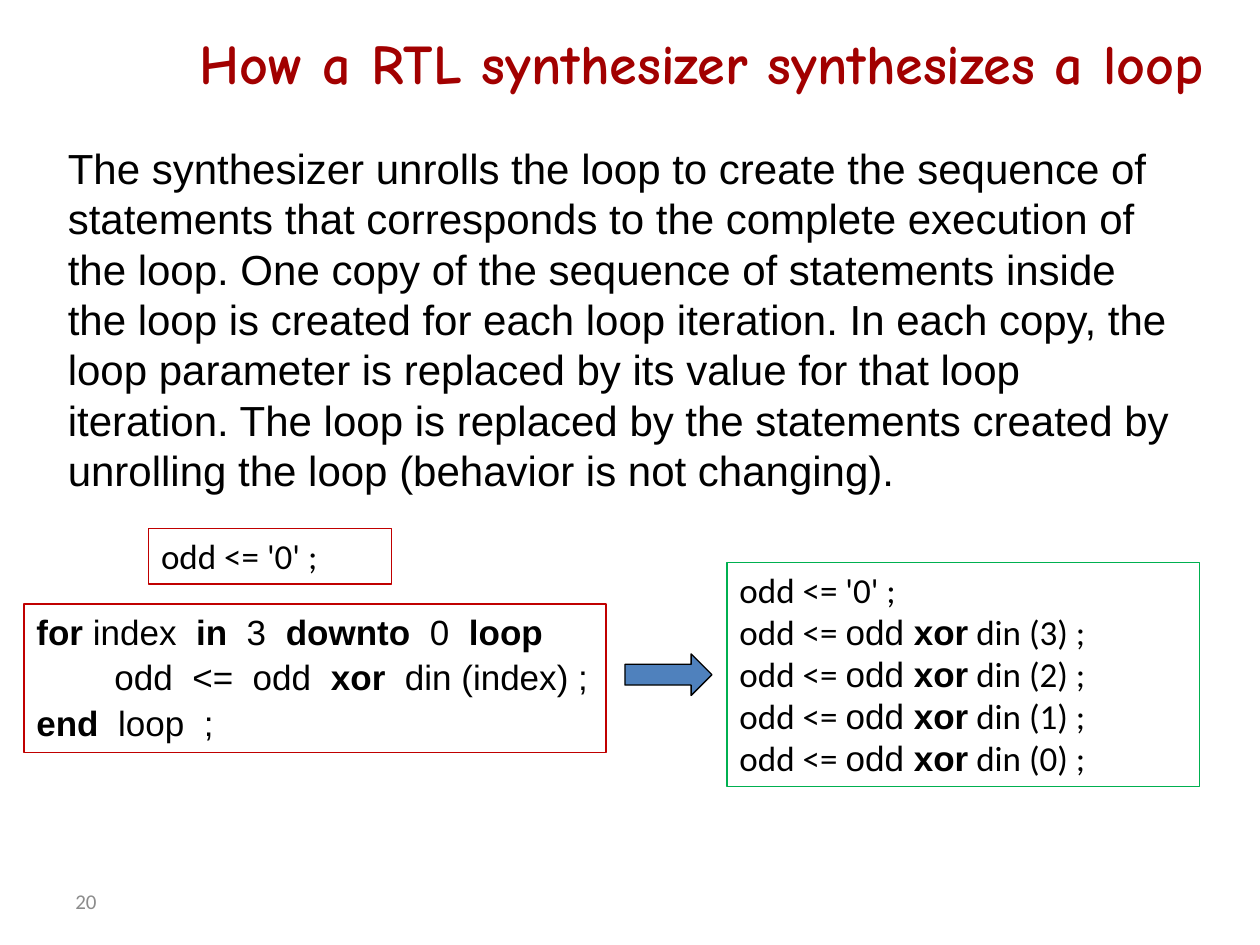
import pptx
import pptx.util
from pptx.dml.color import RGBColor
from pptx.enum.shapes import MSO_SHAPE
from pptx.enum.text import MSO_ANCHOR, PP_ALIGN

WIDE, HIGH = 10, 7.5
TITLE = "How a RTL synthesizer synthesizes a loop"
BODY = (
    "The synthesizer unrolls the loop to create the sequence of statements "
    "that corresponds to the complete execution of the loop. One copy of the "
    "sequence of statements inside the loop is created for each loop "
    "iteration. In each copy, the loop parameter is replaced by its value for "
    "that loop iteration. The loop is replaced by the statements created by "
    "unrolling the loop (behavior is not changing)."
)
PAGE = "20"

# A line of code is a list of (style, text) runs.
START = [("code", "odd <= '0' ;")]
LOOP = [
    [("key", "for"), ("plain", " index  "), ("key", "in"), ("plain", "  3  "),
     ("key", "downto"), ("plain", "  0  "), ("key", "loop")],
    [("plain", "odd  <=  odd  "), ("key", "xor"), ("plain", "  din (index) ;")],
    [("key", "end"), ("plain", "  loop  ;")],
]
UNROLLED = [START] + [
    [("code", "odd <= "), ("plain", "odd "), ("key", "xor"),
     ("code", f" din ({bit}) ;")]
    for bit in range(3, -1, -1)
]

THEME = {
    "title": {"name": "Comic Neue", "size": 32, "bold": True, "color": "A20000"},
    "body": {"name": "Arial", "size": 24, "bold": False, "color": "000000"},
    "code": {"name": "Calibri", "size": 20, "bold": False, "color": "000000"},
    "plain": {"name": "Arial", "size": 20, "bold": False, "color": "000000"},
    "key": {"name": "Arial", "size": 20, "bold": True, "color": "000000"},
    "page": {"name": "Calibri", "size": 12, "bold": False, "color": "8C8C8C"},
    "loop": "C00000", "result": "00B050", "arrow": "4F81BD", "edge": "000000",
}

# Left, top, width and height as shares of the slide.
PLACES = {
    "title": (0.033, 0.019, 0.933, 0.093),
    "body": (0.044, 0.144, 0.903, 0.391),
    "start": (0.118, 0.559, 0.193, 0.059),
    "loop": (0.019, 0.639, 0.462, 0.157),
    "arrow": (0.496, 0.692, 0.069, 0.044),
    "result": (0.577, 0.595, 0.375, 0.237),
    "page": (0.05, 0.927, 0.233, 0.053),
}


def place(key):
    return [pptx.util.Inches(part * full)
            for part, full in zip(PLACES[key], (WIDE, HIGH) * 2)]


def write(frame, lines, before=0, **form):
    """Fill a text frame with lines of styled runs."""
    form = {"word_wrap": True, "vertical_anchor": MSO_ANCHOR.TOP} | form
    align = form.pop("align", PP_ALIGN.LEFT)
    for name, value in form.items():
        setattr(frame, name, value)
    for row, line in enumerate(lines):
        para = frame.add_paragraph() if row else frame.paragraphs[0]
        para.alignment = align
        para.space_before = pptx.util.Pt(before)
        for style, text in line:
            run = para.add_run()
            run.text = text
            look = dict(THEME[style])
            run.font.color.rgb = RGBColor.from_string(look.pop("color"))
            look["size"] = pptx.util.Pt(look["size"])
            for name, value in look.items():
                setattr(run.font, name, value)


def shape(slide, key, kind, edge, fill=None):
    item = slide.shapes.add_shape(kind, *place(key))
    item.shadow.inherit = False
    item.line.color.rgb = RGBColor.from_string(THEME[edge])
    item.line.width = pptx.util.Pt(0.75)
    if fill:
        item.fill.solid()
        item.fill.fore_color.rgb = RGBColor.from_string(THEME[fill])
    else:
        item.fill.background()
    return item


def main():
    deck = pptx.Presentation()
    deck.slide_width = pptx.util.Inches(WIDE)
    deck.slide_height = pptx.util.Inches(HIGH)
    slide = deck.slides.add_slide(deck.slide_layouts[5])

    title = slide.shapes.title
    for name, value in zip(("left", "top", "width", "height"), place("title")):
        setattr(title, name, value)
    write(title.text_frame, [[("title", TITLE)]], align=PP_ALIGN.RIGHT,
          vertical_anchor=MSO_ANCHOR.MIDDLE)

    for key, text, anchor in (("body", BODY, MSO_ANCHOR.TOP),
                              ("page", PAGE, MSO_ANCHOR.MIDDLE)):
        box = slide.shapes.add_textbox(*place(key))
        write(box.text_frame, [[(key, text)]], vertical_anchor=anchor)

    shape(slide, "arrow", MSO_SHAPE.RIGHT_ARROW, "edge", "arrow")
    for key, edge, lines, before in (("result", "result", UNROLLED, 0),
                                     ("loop", "loop", LOOP, 2),
                                     ("start", "loop", [START], 0)):
        box = shape(slide, key, MSO_SHAPE.RECTANGLE, edge)
        write(box.text_frame, lines, before)
        if key == "loop":
            inner = box.text_frame.paragraphs[1]._p.get_or_add_pPr()
            inner.set("marL", str(pptx.util.Inches(0.62)))

    deck.save("out.pptx")


if __name__ == "__main__":
    main()
